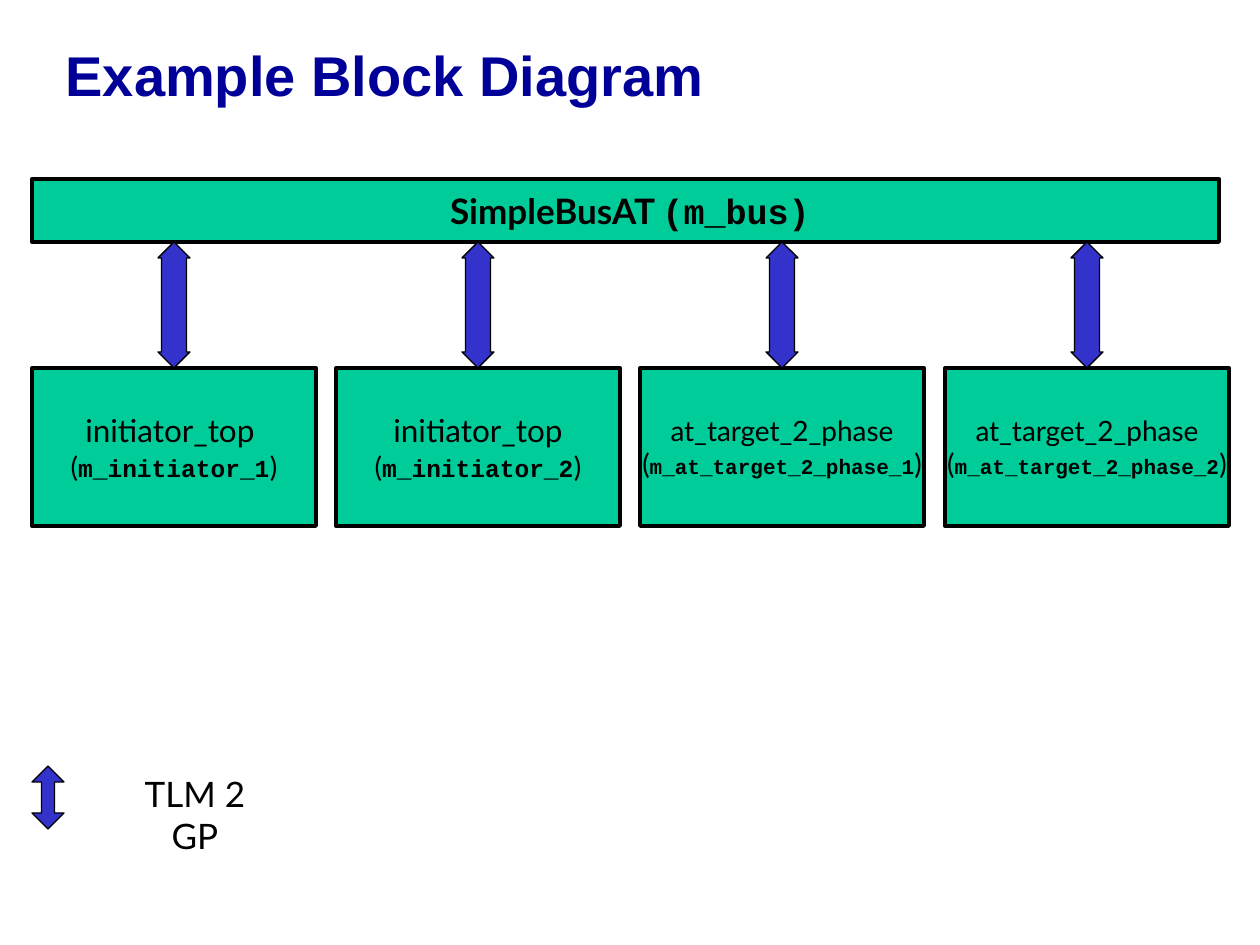
from dataclasses import dataclass

from pptx import Presentation
from pptx import util as u
from pptx.dml.color import RGBColor
from pptx.enum import shapes, text

PX_PER_INCH = 126


@dataclass(frozen=True)
class Theme:
    title_color: RGBColor = RGBColor(0x00, 0x00, 0x99)
    block_fill: RGBColor = RGBColor(0x00, 0xCC, 0x99)
    arrow_fill: RGBColor = RGBColor(0x33, 0x33, 0xCC)
    ink: RGBColor = RGBColor(0x00, 0x00, 0x00)
    title_font: str = "Arial"
    body_font: str = "Lato"
    code_font: str = "Courier New"
    title_size: int = 32
    large: int = 20
    initiator_size: int = 18
    target_size: int = 16
    initiator_code: int = 14
    target_code: int = 12
    block_line: float = 2.25
    arrow_line: float = 0.75


THEME = Theme()


def px(*lengths):
    return [u.Emu(round(n * 914400 / PX_PER_INCH)) for n in lengths]


def set_font(font, size, name=THEME.body_font, bold=False, color=THEME.ink):
    font.size = u.Pt(size)
    font.name = name
    font.bold = bold
    font.color.rgb = color


def add_title(slide, words):
    title = slide.shapes.title
    title.left, title.top, title.width, title.height = px(53, 0, 1197, 158)
    title.text_frame.vertical_anchor = text.MSO_ANCHOR.MIDDLE
    title.text_frame.text = words
    paragraph = title.text_frame.paragraphs[0]
    paragraph.alignment = text.PP_ALIGN.LEFT
    paragraph.line_spacing = 0.85
    set_font(paragraph.font, THEME.title_size, THEME.title_font, True, THEME.title_color)


def add_outlined(slide, kind, box, fill, line_width):
    shape = slide.shapes.add_shape(kind, *px(*box))
    shape.shadow.inherit = False
    shape.fill.solid()
    shape.fill.fore_color.rgb = fill
    shape.line.color.rgb = THEME.ink
    shape.line.width = u.Pt(line_width)
    return shape


def add_block(slide, box, lines):
    """Each line is a list of (words, size, font, bold) runs."""
    block = add_outlined(slide, shapes.MSO_SHAPE.RECTANGLE, box,
                         THEME.block_fill, THEME.block_line)
    frame = block.text_frame
    frame.word_wrap = False
    frame.vertical_anchor = text.MSO_ANCHOR.MIDDLE
    for i, runs in enumerate(lines):
        paragraph = frame.add_paragraph() if i else frame.paragraphs[0]
        paragraph.alignment = text.PP_ALIGN.CENTER
        for words, *style in runs:
            run = paragraph.add_run()
            run.text = words
            set_font(run.font, *style)


def add_module(slide, box, module, instance, size, code_size):
    plain = (THEME.target_size, THEME.body_font, False)
    add_block(slide, box, [
        [(module, size, THEME.body_font, False)],
        [("(", *plain), (instance, code_size, THEME.code_font, True), (")", *plain)],
    ])


def add_arrow(slide, center, top, height, head):
    width = 32
    arrow = add_outlined(slide, shapes.MSO_SHAPE.UP_DOWN_ARROW,
                         (center - width // 2, top, width, height),
                         THEME.arrow_fill, THEME.arrow_line)
    arrow.adjustments[0] = 0.5
    arrow.adjustments[1] = head / width


def add_label(slide, box, words):
    frame = slide.shapes.add_textbox(*px(*box)).text_frame
    frame.word_wrap = True
    frame.text = words
    paragraph = frame.paragraphs[0]
    paragraph.alignment = text.PP_ALIGN.CENTER
    set_font(paragraph.font, THEME.large)


def main():
    deck = Presentation()
    deck.slide_width, deck.slide_height = px(1260, 945)
    slide = deck.slides.add_slide(deck.slide_layouts[5])
    add_title(slide, "Example Block Diagram")

    # Bus across the top
    left, bus_top, bus_height = 32, 179, 63
    add_block(slide, (left, bus_top, 1187, bus_height), [[
        (" ", THEME.large, THEME.body_font, False),
        ("SimpleBusAT ", THEME.large, THEME.body_font, True),
        ("(m_bus)", THEME.large, THEME.code_font, True),
    ]])

    # Modules in a row, each joined to the bus
    initiator = (THEME.initiator_size, THEME.initiator_code)
    target = (THEME.target_size, THEME.target_code)
    modules = [
        ("initiator_top ", "m_initiator_1", *initiator),
        ("initiator_top", "m_initiator_2", *initiator),
        ("at_target_2_phase", "m_at_target_2_phase_1", *target),
        ("at_target_2_phase", "m_at_target_2_phase_2", *target),
    ]
    width, height, link = 284, 158, 126
    last_left = 945
    bus_bottom = bus_top + bus_height
    for i, module in enumerate(modules):
        x = left + (last_left - left) * i // (len(modules) - 1)
        add_module(slide, (x, bus_bottom + link, width, height), *module)
        add_arrow(slide, x + width // 2, bus_bottom, link, head=25)

    # Legend
    legend_top = 766
    add_arrow(slide, left + 16, legend_top, 63, head=13)
    add_label(slide, (107, legend_top, 176, 55), "TLM 2 GP")

    deck.save("out.pptx")


if __name__ == "__main__":
    main()
